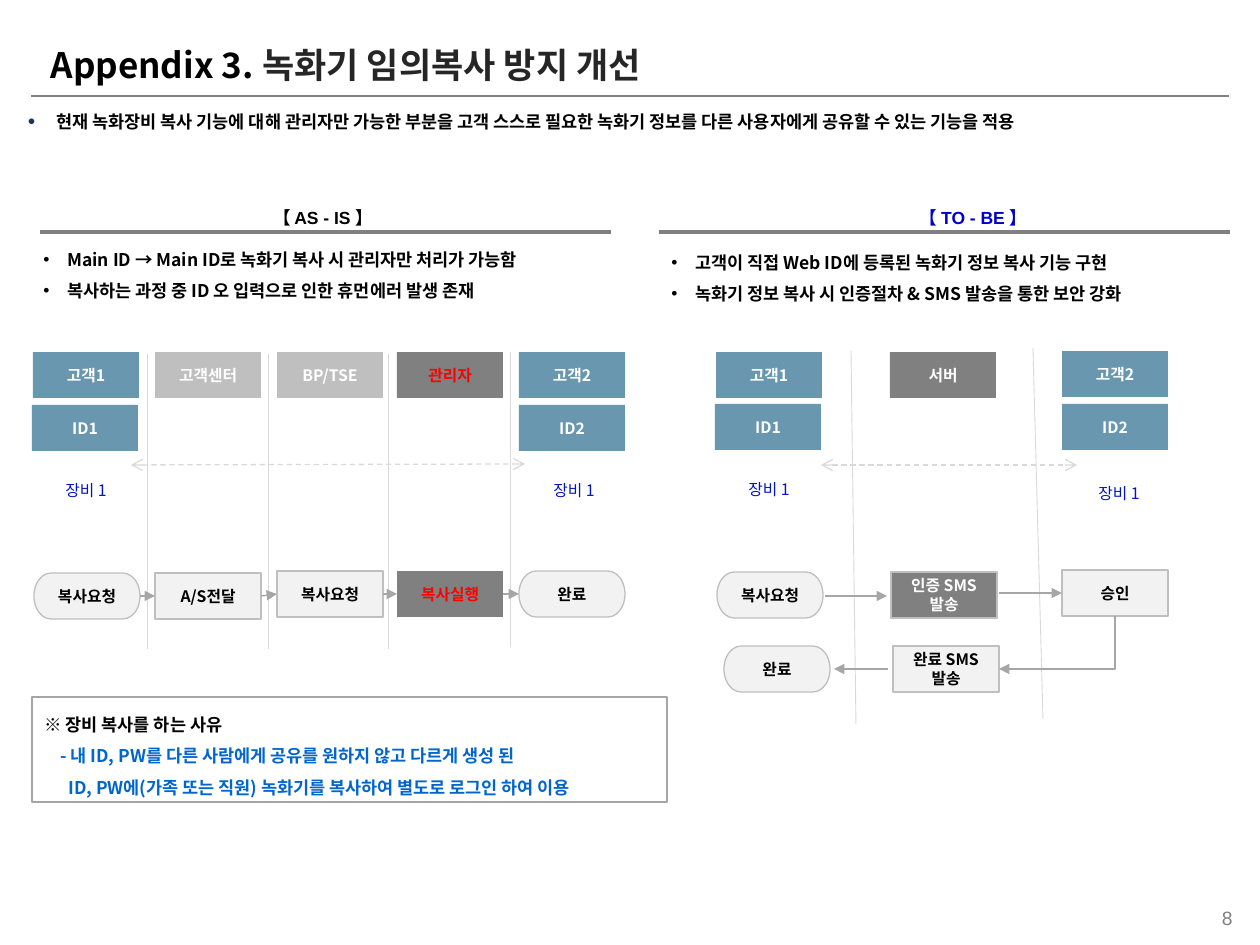
from dataclasses import dataclass

from lxml.etree import SubElement
from pptx import Presentation
from pptx.dml.color import RGBColor
from pptx.enum.dml import MSO_LINE
from pptx.enum.shapes import MSO_CONNECTOR, MSO_SHAPE
from pptx.enum.text import MSO_ANCHOR, MSO_AUTO_SIZE, PP_ALIGN
from pptx.oxml.ns import qn
from pptx.util import Emu, Pt

PX_PER_INCH = 126
TILE_WIDTH, TILE_HEIGHT = 106, 46


def px(length):
    return Emu(round(length * 914400 / PX_PER_INCH))


@dataclass(frozen=True)
class Theme:
    font: str = "Noto Sans CJK KR"
    latin: str = "Arial"
    black: str = "000000"
    white: str = "FFFFFF"
    red: str = "FF0000"
    ink: str = "262626"
    blue: str = "0066CC"
    heading_blue: str = "0000CC"
    label_blue: str = "0315BF"
    bullet_blue: str = "17375E"
    teal: str = "6997AF"
    dark: str = "808080"
    arrow: str = "A6A6A6"
    silver: str = "BFBFBF"
    divider: str = "D9D9D9"
    pale: str = "F2F2F2"
    title_size: int = 20
    number_size: int = 11
    body_size: int = 10
    tile_size: int = 9


class SlideBuilder:
    def __init__(self, slide, theme):
        self.slide = slide
        self.theme = theme

    def style(self, paragraph, size, color, bold=True, font=None):
        for span in paragraph.runs:
            self.style_run(span, size, color, bold, font)

    def style_run(self, span, size, color, bold=True, font=None):
        span.font.size = Pt(size)
        span.font.bold = bold
        span.font.color.rgb = RGBColor.from_string(color)
        span.font.name = font or self.theme.font
        east_asian = SubElement(span.font._element, qn("a:ea"))
        east_asian.set("typeface", self.theme.font)

    def place(self, shape, left, top, width, height):
        shape.left, shape.top = px(left), px(top)
        shape.width, shape.height = px(width), px(height)

    def title(self, bounds, parts):
        """Fill the title from (text, colour, font) parts."""
        title = self.slide.shapes.title
        self.place(title, *bounds)
        frame = title.text_frame
        frame.auto_size = MSO_AUTO_SIZE.NONE
        frame.vertical_anchor = MSO_ANCHOR.MIDDLE
        para = frame.paragraphs[0]
        para.alignment = PP_ALIGN.LEFT
        for text, color, font in parts:
            span = para.add_run()
            span.text = text
            self.style_run(span, self.theme.title_size, color, font=font)

    def bullets(self, frame, lines, spacing, indent, mark, color=None, percent=100):
        frame.auto_size = MSO_AUTO_SIZE.NONE
        frame.word_wrap = True
        frame.text = "\n".join(lines)
        for para in frame.paragraphs:
            para.line_spacing = spacing
            para.space_before = Pt(0)
            properties = para._p.get_or_add_pPr()
            properties.set("marL", str(px(indent)))
            properties.set("indent", str(-px(indent)))
            if color:
                tint = SubElement(properties, qn("a:buClr"))
                SubElement(tint, qn("a:srgbClr")).set("val", color)
            SubElement(properties, qn("a:buSzPct")).set("val", str(percent * 1000))
            SubElement(properties, qn("a:buFont")).set("typeface", self.theme.latin)
            SubElement(properties, qn("a:buChar")).set("char", mark)
            self.style(para, self.theme.body_size, self.theme.black)

    def body(self, bounds, lines):
        body = self.slide.placeholders[1]
        self.place(body, *bounds)
        self.bullets(body.text_frame, lines, 1.4, 29, "●", self.theme.bullet_blue, 75)

    def bullet_box(self, bounds, lines):
        box = self.slide.shapes.add_textbox(*map(px, bounds))
        self.bullets(box.text_frame, lines, 1.5, 24, "•")

    def text(self, bounds, text, size, color, bold=False, font=None,
             align=PP_ALIGN.LEFT, wrap=True):
        box = self.slide.shapes.add_textbox(*map(px, bounds))
        box.text_frame.word_wrap = wrap
        box.text_frame.text = text
        para = box.text_frame.paragraphs[0]
        para.alignment = align
        self.style(para, size, color, bold, font)

    def shape(self, kind, bounds, fill=None, outline=None):
        shape = self.slide.shapes.add_shape(kind, *map(px, bounds))
        shape.shadow.inherit = False
        if fill:
            shape.fill.solid()
            shape.fill.fore_color.rgb = RGBColor.from_string(fill)
        else:
            shape.fill.background()
        if outline:
            shape.line.color.rgb = RGBColor.from_string(outline)
            shape.line.width = Pt(0.75)
        else:
            shape.line.fill.background()
        return shape

    def tile(self, left, top, text, fill, color, kind=MSO_SHAPE.RECTANGLE, outline=None):
        tile = self.shape(kind, (left, top, TILE_WIDTH, TILE_HEIGHT), fill, outline)
        frame = tile.text_frame
        frame.text = text
        frame.vertical_anchor = MSO_ANCHOR.MIDDLE
        for para in frame.paragraphs:
            para.alignment = PP_ALIGN.CENTER
            self.style(para, self.theme.tile_size, color)
        return tile

    def step(self, left, top, text, kind=MSO_SHAPE.FLOWCHART_PROCESS):
        return self.tile(left, top, text, self.theme.pale, self.theme.black,
                         kind, self.theme.silver)

    def terminator(self, left, top, text):
        return self.step(left, top, text, MSO_SHAPE.FLOWCHART_TERMINATOR)

    def note(self, bounds, lines):
        """Draw an outlined box from (text, left indent, colour) lines."""
        box = self.shape(MSO_SHAPE.RECTANGLE, bounds, outline=self.theme.arrow)
        frame = box.text_frame
        frame.vertical_anchor = MSO_ANCHOR.TOP
        frame.text = "\n".join(text for text, _, _ in lines)
        for para, (_, indent, color) in zip(frame.paragraphs, lines):
            para.alignment = PP_ALIGN.LEFT
            para.line_spacing = 1.5
            para._p.get_or_add_pPr().set("marL", str(px(indent)))
            self.style(para, self.theme.body_size, color)

    def line(self, points, color, width=0.75, head=None, tail=None, dashed=False,
             kind=MSO_CONNECTOR.STRAIGHT):
        line = self.slide.shapes.add_connector(kind, *map(px, points))
        line.line.color.rgb = RGBColor.from_string(color)
        line.line.width = Pt(width)
        if dashed:
            line.line.dash_style = MSO_LINE.DASH
        for tag, arrowhead in (("a:headEnd", head), ("a:tailEnd", tail)):
            if arrowhead:
                SubElement(line.line._ln, qn(tag)).set("type", arrowhead)
        SubElement(line._element.spPr, qn("a:effectLst"))
        return line

    def arrow(self, points, **options):
        return self.line(points, self.theme.arrow, tail="triangle", **options)

    def join(self, source, target):
        arrow = self.arrow((0, 0, 0, 0))
        arrow.begin_connect(source, 3)
        arrow.end_connect(target, 1)

    def corner_arrow(self, source, target):
        """Go down from the source, then left into the target."""
        arrow = self.arrow((0, 0, 0, 0), kind=MSO_CONNECTOR.ELBOW)
        arrow.begin_connect(source, 2)
        arrow.end_connect(target, 3)
        start_x, start_y = source.left + source.width // 2, source.top + source.height
        end_x, end_y = target.left + target.width, target.top + target.height // 2
        across, down = start_x - end_x, end_y - start_y
        arrow.left = Emu((start_x + end_x - down) // 2)
        arrow.top = Emu((start_y + end_y - across) // 2)
        arrow.width, arrow.height = Emu(down), Emu(across)
        properties = arrow._element.spPr
        transform = properties.find(qn("a:xfrm"))
        transform.attrib.clear()
        transform.set("rot", "5400000")
        properties.find(qn("a:prstGeom")).set("prst", "bentConnector2")


def main():
    deck = Presentation()
    deck.slide_width, deck.slide_height = px(1260), px(945)
    theme = Theme()
    page = SlideBuilder(deck.slides.add_slide(deck.slide_layouts[1]), theme)

    page.text((934, 900, 311, 37), "8", theme.number_size, theme.dark,
              font=theme.latin, align=PP_ALIGN.RIGHT)
    page.line((31, 96, 1229, 96), theme.dark)
    page.title((38, 35, 948, 59), [
        ("Appendix 3. ", theme.black, theme.font),
        ("녹화기 임의복사 방지 개선", theme.ink, theme.latin)])
    page.body((15, 96, 1211, 139), [
        "현재 녹화장비 복사 기능에 대해 관리자만 가능한 부분을 고객 스스로 필요한 "
        "녹화기 정보를 다른 사용자에게 공유할 수 있는 기능을 적용"])

    for points in ((1033, 348, 1043, 719), (851, 351, 856, 724), (510, 352, 510, 647),
                   (388, 354, 388, 649), (268, 354, 268, 649), (147, 354, 147, 649)):
        page.line(points, theme.divider, 0.5)

    for left, width, text, color, rule_left in (
            (223, 200, "【 AS - IS 】", theme.black, 40),
            (842, 263, "【 TO - BE 】", theme.heading_blue, 659)):
        page.text((left, 201, width, 34), text, theme.body_size, color, True,
                  theme.latin, PP_ALIGN.CENTER)
        page.line((rule_left, 232, rule_left + 571, 232), theme.dark, 2.25)
    page.bullet_box((31, 232, 635, 72), [
        "Main ID → Main ID로 녹화기 복사 시 관리자만 처리가 가능함",
        "복사하는 과정 중 ID 오 입력으로 인한 휴먼에러 발생 존재"])
    page.bullet_box((659, 235, 601, 72), [
        "고객이 직접 Web ID에 등록된 녹화기 정보 복사 기능 구현",
        "녹화기 정보 복사 시 인증절차 & SMS 발송을 통한 보안 강화"])

    for left, top, text, fill, color in (
            (33, 352, "고객1", theme.teal, theme.white),
            (155, 352, "고객센터", theme.silver, theme.white),
            (277, 352, "BP/TSE", theme.silver, theme.white),
            (397, 352, "관리자", theme.dark, theme.red),
            (519, 352, "고객2", theme.teal, theme.white),
            (32, 405, "ID1", theme.teal, theme.white),
            (519, 405, "ID2", theme.teal, theme.white),
            (716, 352, "고객1", theme.teal, theme.white),
            (890, 352, "서버", theme.dark, theme.white),
            (1062, 351, "고객2", theme.teal, theme.white),
            (715, 404, "ID1", theme.teal, theme.white),
            (1062, 404, "ID2", theme.teal, theme.white)):
        page.tile(left, top, text, fill, color)
    for left, top in ((53, 475), (541, 475), (736, 474), (1086, 478)):
        page.text((left, top, 72, 32), "장비 1", theme.tile_size, theme.label_blue, wrap=False)
    for points in ((131, 465, 525, 464), (821, 465, 1077, 465)):
        page.line(points, theme.divider, head="arrow", tail="arrow", dashed=True)

    steps = [
        page.terminator(34, 573, "복사요청"),
        page.step(155, 573, "A/S전달"),
        page.step(277, 571, "복사요청"),
        page.tile(397, 571, "복사실행", theme.dark, theme.red, MSO_SHAPE.FLOWCHART_PROCESS),
        page.terminator(519, 571, "완료")]
    for source, target in zip(steps, steps[1:]):
        page.join(source, target)

    page.terminator(717, 572, "복사요청")
    page.tile(891, 572, "인증 SMS\n발송", theme.dark, theme.white,
              MSO_SHAPE.FLOWCHART_PROCESS, theme.silver)
    approval = page.step(1062, 570, "승인")
    done_message = page.step(893, 646, "완료 SMS\n발송")
    page.terminator(724, 646, "완료")
    page.arrow((825, 596, 887, 596))
    page.arrow((999, 593, 1062, 593)).end_connect(approval, 1)
    page.corner_arrow(approval, done_message)
    page.arrow((888, 669, 834, 669))

    page.note((32, 697, 635, 105), [
        ("※ 장비 복사를 하는 사유", 0, theme.black),
        ("- 내 ID, PW를 다른 사람에게 공유를 원하지 않고 다르게 생성 된", 16, theme.blue),
        ("ID, PW에(가족 또는 직원) 녹화기를 복사하여 별도로 로그인 하여 이용", 24, theme.blue)])
    deck.save("out.pptx")


if __name__ == "__main__":
    main()
